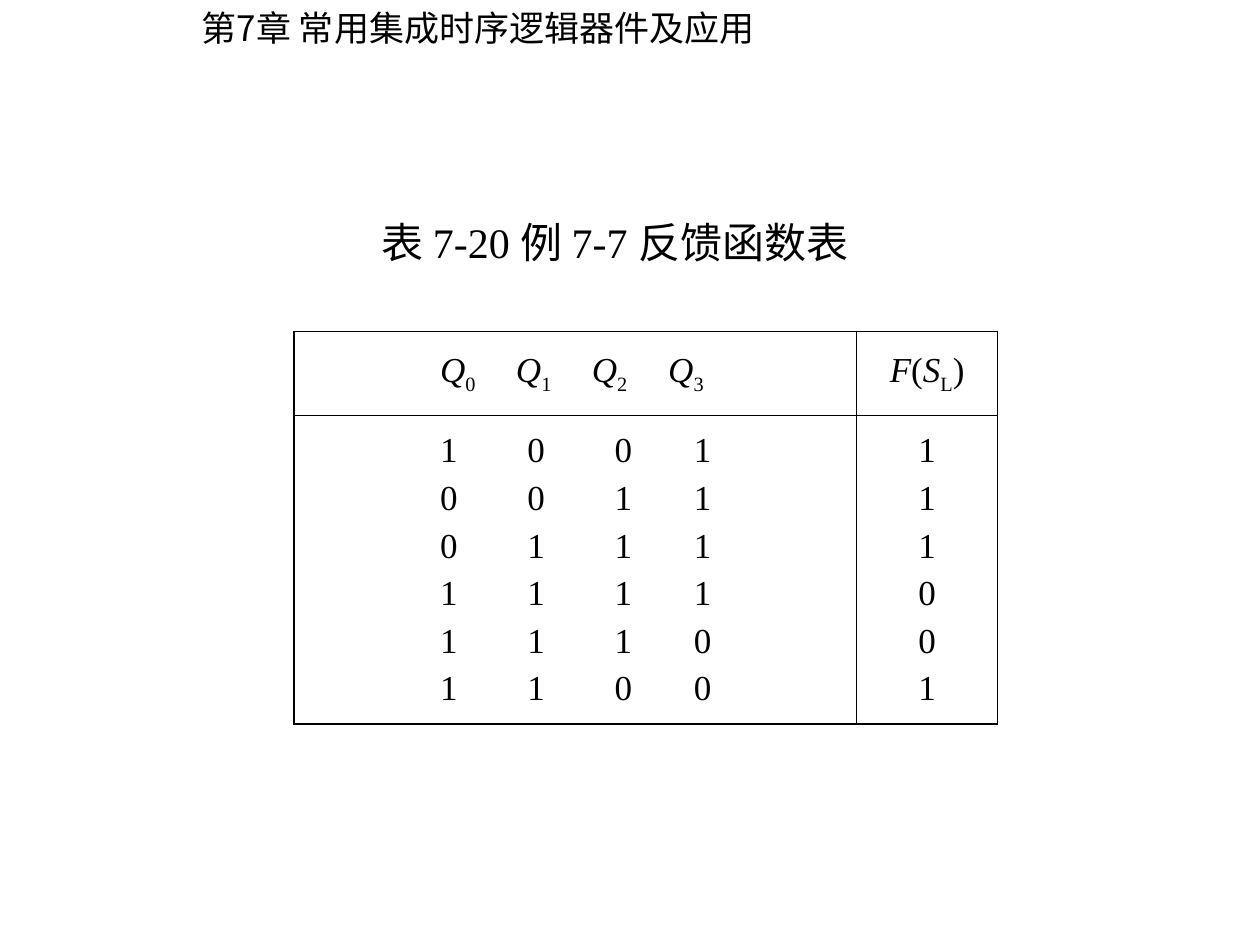
import pptx
import pptx.dml.color
import pptx.enum.text
import pptx.oxml
import pptx.oxml.ns
import pptx.util
from lxml import etree

Cm = pptx.util.Cm
Pt = pptx.util.Pt
PP_ALIGN = pptx.enum.text.PP_ALIGN
ANCHOR = pptx.enum.text.MSO_ANCHOR
qn = pptx.oxml.ns.qn

BLACK = pptx.dml.color.RGBColor(0x00, 0x00, 0x00)
SERIF = "Times New Roman"
SANS = "Noto Sans CJK SC"
OUTER, INNER = Pt(1.08), Pt(0.45)

STATES = ["1001", "0011", "0111", "1111", "1110", "1100"]
FEEDBACK = "111001"


def write(frame, paragraphs, font=SERIF, size=20, align=PP_ALIGN.LEFT, gap=0, tabs=()):
    """Fill a frame; a paragraph is a string or a list of (text, style), style "", "i" or "sub"."""
    for index, content in enumerate(paragraphs):
        paragraph = frame.paragraphs[0] if index == 0 else frame.add_paragraph()
        paragraph.alignment = align
        if tabs:
            stops = etree.SubElement(paragraph._p.get_or_add_pPr(), qn("a:tabLst"))
            for position in tabs:
                etree.SubElement(stops, qn("a:tab"), pos=str(Cm(position)), algn="l")
        if index:
            paragraph.space_before = Pt(gap)
        for text, style in [(content, "")] if isinstance(content, str) else content:
            run = paragraph.add_run()
            run.text = text
            run.font.name = font
            run.font.size = Pt(size)
            run.font.bold = False
            run.font.italic = style == "i"
            run.font.color.rgb = BLACK
            properties = run._r.get_or_add_rPr()
            if style == "sub":
                properties.set("baseline", "-25000")
            etree.SubElement(properties, qn("a:ea"), typeface=SANS)


class SlideBuilder:
    def __init__(self, presentation):
        self.slide = presentation.slides.add_slide(presentation.slide_layouts[5])

    def title(self, text, left, top, width, height):
        heading = self.slide.shapes.title
        heading.left, heading.top, heading.width, heading.height = map(
            Cm, (left, top, width, height))
        heading.text_frame.vertical_anchor = ANCHOR.TOP
        heading.text_frame.word_wrap = False
        heading.text_frame.auto_size = pptx.enum.text.MSO_AUTO_SIZE.NONE
        write(heading.text_frame, [text], font=SANS)

    def caption(self, text, left, top, width, height):
        box = self.slide.shapes.add_textbox(*map(Cm, (left, top, width, height)))
        box.text_frame.word_wrap = False
        write(box.text_frame, [text], size=24)

    def table(self, left, top, widths, heights):
        grid = self.slide.shapes.add_table(
            len(heights), len(widths), Cm(left), Cm(top),
            Cm(sum(widths)), Cm(sum(heights))).table
        for column, width in zip(grid.columns, widths):
            column.width = Cm(width)
        for row, height in zip(grid.rows, heights):
            row.height = Cm(height)
        last_row, last_column = len(heights) - 1, len(widths) - 1
        for r, row in enumerate(grid.rows):
            for c, cell in enumerate(row.cells):
                cell.vertical_anchor = ANCHOR.MIDDLE
                self.borders(cell, L=c == 0, R=c == last_column, T=r == 0, B=r == last_row)
                cell.fill.background()
        return grid

    def borders(self, cell, **is_outer):
        properties = cell._tc.get_or_add_tcPr()
        for side, outer in is_outer.items():
            line = etree.SubElement(properties, qn(f"a:ln{side}"), w=str(OUTER if outer else INNER))
            fill = etree.SubElement(line, qn("a:solidFill"))
            etree.SubElement(fill, qn("a:srgbClr"), val=str(BLACK))


def main():
    presentation = pptx.Presentation()
    presentation.slide_width, presentation.slide_height = Cm(25.4), Cm(19.05)
    builder = SlideBuilder(presentation)
    builder.title("第7章 常用集成时序逻辑器件及应用", 3.81, 0, 12, 1.12)
    builder.caption("表 7-20 例 7-7 反馈函数表", 7.44, 4.24, 10.92, 1.27)

    feedback_table = builder.table(5.92, 6.68, [11.35, 2.84], [1.7, 6.22])
    for row in feedback_table.rows:
        row.cells[0].margin_left = Cm(2.95)

    state_header = []
    for bit in range(4):
        state_header += [("\tQ" if bit else "Q", "i"), (str(bit), "sub")]
    feedback_header = [("F", "i"), ("(", ""), ("S", "i"), ("L", "sub"), (")", "")]
    write(feedback_table.cell(0, 0).text_frame, [state_header], tabs=(1.53, 3.06, 4.6))
    write(feedback_table.cell(0, 1).text_frame, [feedback_header], align=PP_ALIGN.CENTER)
    write(feedback_table.cell(1, 0).text_frame, ["\t".join(state) for state in STATES],
          gap=5, tabs=(1.76, 3.52, 5.12))
    write(feedback_table.cell(1, 1).text_frame, FEEDBACK, align=PP_ALIGN.CENTER, gap=5)
    presentation.save("out.pptx")


if __name__ == "__main__":
    main()
